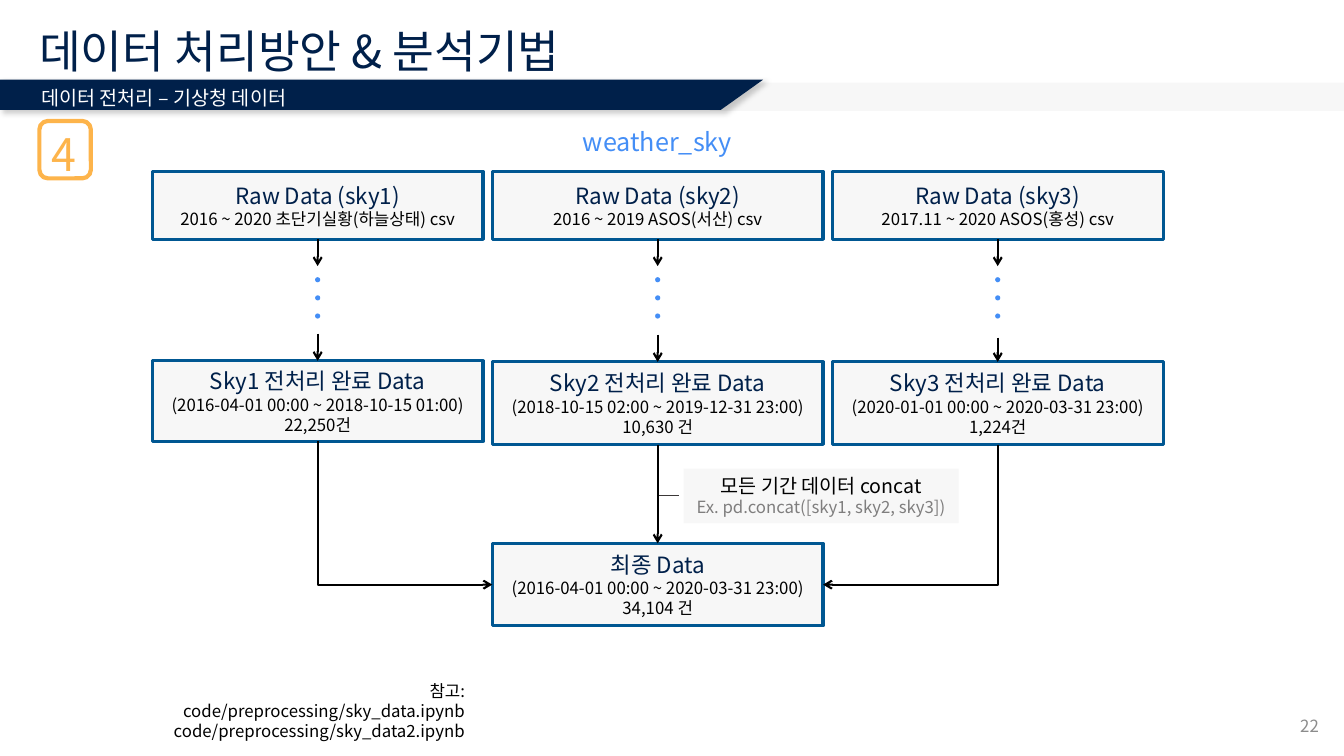
from dataclasses import dataclass

from lxml import etree
from pptx import Presentation
from pptx import util as u
from pptx.dml.color import RGBColor
from pptx.enum import shapes, text
from pptx.oxml.ns import qn

COLORS = {
    "navy": "00204A", "blue": "005792", "sky": "448EF6", "amber": "FDB44B",
    "pale": "F7F7F7", "white": "FFFFFF", "black": "000000",
    "gray": "8C8C8C", "code": "7F7E7E", "tick": "3B3838",
}
FONT = "Noto Sans CJK KR"
CENTER, RIGHT, LEFT = text.PP_ALIGN.CENTER, text.PP_ALIGN.RIGHT, text.PP_ALIGN.LEFT
MIDDLE, TOP = text.MSO_ANCHOR.MIDDLE, text.MSO_ANCHOR.TOP
RECT = shapes.MSO_SHAPE.RECTANGLE
TOP_SIDE, LEFT_SIDE, BOTTOM_SIDE, RIGHT_SIDE = range(4)

deck = Presentation()
deck.slide_width, deck.slide_height = u.Inches(13.33), u.Inches(7.5)
page = deck.slides.add_slide(deck.slide_layouts[6])

FIRST_LEFT, BOX_WIDTH, BOX_PITCH = 11.33, 24.61, 25.3
RAW_TOP, RAW_HEIGHT, RAW_ARROW_END = 22.67, 9, 35.2
DOT_TOP, DOT_PITCH, DOT_WIDTH, DOT_HEIGHT = 36.67, 2.4, 0.38, 0.67
FINAL_TOP, FINAL_HEIGHT = 71.87, 10.93


@dataclass
class Stage:
    raw_title: str
    raw_source: str
    ready_title: str
    period: str
    count: str
    arrow_top: float
    ready_top: float
    ready_height: float


@dataclass
class Label:
    words: list[str]
    area: tuple[float, float, float, float]
    size: float
    color: str
    align: text.PP_ALIGN = LEFT
    anchor: text.MSO_ANCHOR = TOP
    spacing: float | None = None


STAGES = [
    Stage("Raw Data (sky1)", "2016 ~ 2020 초단기실황(하늘상태) csv", "Sky1 전처리 완료 Data",
          "(2016-04-01 00:00 ~ 2018-10-15 01:00)", "22,250건", 44.13, 47.73, 10.67),
    Stage("Raw Data (sky2)", "2016 ~ 2019 ASOS(서산) csv", "Sky2 전처리 완료 Data",
          "(2018-10-15 02:00 ~ 2019-12-31 23:00)", "10,630 건", 44.27, 47.87, 10.93),
    Stage("Raw Data (sky3)", "2017.11 ~ 2020 ASOS(홍성) csv", "Sky3 전처리 완료 Data",
          "(2020-01-01 00:00 ~ 2020-03-31 23:00)", "1,224건", 44.67, 47.87, 10.93),
]
LABELS = [
    Label(["데이터 처리방안 & 분석기법"], (2.18, 3.07, 50.49, 8.13), 32.4, "navy",
          anchor=MIDDLE, spacing=0.9),
    Label(["22"], (94.22, 93.33, 4.65, 5.33), 12, "gray", RIGHT, MIDDLE),
    Label(["데이터 전처리 – 기상청 데이터"], (2.33, 10.67, 24.61, 4.53), 14, "white"),
    Label(["참고: code/preprocessing/sky_data.ipynb", "code/preprocessing/sky_data2.ipynb"],
          (10.73, 89.33, 24.61, 6.67), 12, "black", RIGHT),
    Label(["weather_sky"], (37.81, 16, 22.21, 5.33), 18, "sky", CENTER),
    Label(["4"], (3.08, 16.13, 2.33, 8.53), 32, "amber"),
]


def col(share: float) -> int:
    return round(deck.slide_width * share / 100)


def row(share: float) -> int:
    return round(deck.slide_height * share / 100)


def place(area: tuple) -> tuple:
    left, top, width, height = area
    return col(left), row(top), col(width), row(height)


def rgb(name: str) -> RGBColor:
    return RGBColor.from_string(COLORS[name])


def write(box, words: str, *, size: float, color: str, align=CENTER, spacing=None) -> None:
    frame = box.text_frame
    para = frame.paragraphs[0]
    if para.runs:
        para = frame.add_paragraph()
    para.alignment = align
    if spacing:
        para.line_spacing = spacing
    span = para.add_run()
    span.text = words
    span.font.size = u.Pt(size)
    span.font.name = FONT
    span.font.color.rgb = rgb(color)
    etree.SubElement(span.font._element, qn("a:ea"), typeface=FONT)


def paint(shape, fill: str | None, line: str | None = None, weight: float = 2.25):
    shape.shadow.inherit = False
    if fill:
        shape.fill.solid()
        shape.fill.fore_color.rgb = rgb(fill)
    else:
        shape.fill.background()
    if line:
        shape.line.color.rgb = rgb(line)
        shape.line.width = u.Pt(weight)
    else:
        shape.line.fill.background()
    return shape


def add_label(label: Label) -> None:
    box = page.shapes.add_textbox(*place(label.area))
    box.text_frame.word_wrap = True
    box.text_frame.vertical_anchor = label.anchor
    for words in label.words:
        write(box, words, size=label.size, color=label.color, align=label.align,
              spacing=label.spacing)


def add_band(points: list[tuple[float, float]], fill: str):
    corners = [(col(x), row(y)) for x, y in points]
    builder = page.shapes.build_freeform(*corners[0], scale=1.0)
    builder.add_line_segments(corners[1:], close=True)
    return paint(builder.convert_to_shape(), fill)


def add_data_box(area: tuple, title: str, *details: str):
    box = paint(page.shapes.add_shape(RECT, *place(area)), "pale", "blue")
    box.text_frame.word_wrap = True
    box.text_frame.vertical_anchor = MIDDLE
    write(box, title, size=16, color="navy")
    for detail in details:
        write(box, detail, size=12, color="black")
    return box


def style_line(line, color: str = "black", weight: float = 1.5, arrow: bool = True) -> None:
    line.line.color.rgb = rgb(color)
    line.line.width = u.Pt(weight)
    properties = line._element.spPr
    if arrow:
        etree.SubElement(properties.find(qn("a:ln")), qn("a:tailEnd"), type="arrow")
    etree.SubElement(properties, qn("a:effectLst"))


def add_straight(x: int, top: int, bottom: int, source=None, target=None) -> None:
    line = page.shapes.add_connector(shapes.MSO_CONNECTOR.STRAIGHT, x, top, x, bottom)
    if source is not None:
        line.begin_connect(source, BOTTOM_SIDE)
    if target is not None:
        line.end_connect(target, TOP_SIDE)
    style_line(line)


def add_elbow(source, target, side: int) -> None:
    line = page.shapes.add_connector(shapes.MSO_CONNECTOR.ELBOW, 0, 0, 0, 0)
    line.begin_connect(source, BOTTOM_SIDE)
    line.end_connect(target, side)
    across, down = abs(line.end_x - line.begin_x), abs(line.end_y - line.begin_y)
    middle_x, middle_y = (line.begin_x + line.end_x) // 2, (line.begin_y + line.end_y) // 2
    properties = line._element.spPr
    frame = properties.find(qn("a:xfrm"))
    frame.attrib.clear()
    frame.set("rot", "16200000" if side == LEFT_SIDE else "5400000")
    if side == LEFT_SIDE:
        frame.set("flipH", "1")
    line.left, line.top = middle_x - down // 2, middle_y - across // 2
    line.width, line.height = down, across
    properties.find(qn("a:prstGeom")).set("prst", "bentConnector2")
    style_line(line)


def add_stage(index: int, stage: Stage):
    left = FIRST_LEFT + index * BOX_PITCH
    raw = add_data_box((left, RAW_TOP, BOX_WIDTH, RAW_HEIGHT), stage.raw_title, stage.raw_source)
    ready = add_data_box((left, stage.ready_top, BOX_WIDTH, stage.ready_height),
                         stage.ready_title, stage.period, stage.count)
    center = raw.left + raw.width // 2
    add_straight(center, raw.top + raw.height, row(RAW_ARROW_END), source=raw)
    add_straight(center, row(stage.arrow_top), ready.top, target=ready)
    dot_left = left + (BOX_WIDTH - DOT_WIDTH) / 2
    for step in range(3):
        area = (dot_left, DOT_TOP + step * DOT_PITCH, DOT_WIDTH, DOT_HEIGHT)
        paint(page.shapes.add_shape(shapes.MSO_SHAPE.OVAL, *place(area)), "sky")
    return ready


def main() -> None:
    add_band([(100, 14.67), (52.81, 14.67), (55.44, 10.93), (100, 10.93)], "pale")
    band = add_band([(0, 10.53), (56.79, 10.53), (53.64, 14.53), (0, 14.53)], "navy")
    shadow = etree.SubElement(band._element.spPr.find(qn("a:effectLst")), qn("a:outerShdw"),
                              blurRad=str(u.Pt(4)), dist=str(u.Pt(3)), dir="2700000")
    shade = etree.SubElement(shadow, qn("a:srgbClr"), val=COLORS["black"])
    etree.SubElement(shade, qn("a:alpha"), val="20000")
    for label in LABELS:
        add_label(label)
    badge = page.shapes.add_shape(shapes.MSO_SHAPE.ROUNDED_RECTANGLE, *place((2.93, 16, 3.83, 7.6)))
    paint(badge, None, "amber", 3)

    first, second, third = [add_stage(index, stage) for index, stage in enumerate(STAGES)]
    final = add_data_box((FIRST_LEFT + BOX_PITCH, FINAL_TOP, BOX_WIDTH, FINAL_HEIGHT),
                         "최종 Data", "(2016-04-01 00:00 ~ 2020-03-31 23:00)", "34,104 건")
    add_straight(final.left + final.width // 2, second.top + second.height, final.top, second, final)
    add_elbow(first, final, LEFT_SIDE)
    add_elbow(third, final, RIGHT_SIDE)

    note = paint(page.shapes.add_shape(RECT, *place((50.86, 62, 20.48, 7.2))), "pale")
    note.text_frame.word_wrap = True
    note.text_frame.vertical_anchor = TOP
    write(note, "모든 기간 데이터 concat", size=14, color="black")
    write(note, "Ex. pd.concat([sky1, sky2, sky3])", size=12, color="code")
    tick = page.shapes.add_connector(shapes.MSO_CONNECTOR.STRAIGHT, col(49.06), row(65.47),
                                     col(50.49), row(65.47))
    style_line(tick, "tick", 0.5, arrow=False)
    deck.save("out.pptx")


if __name__ == "__main__":
    main()
